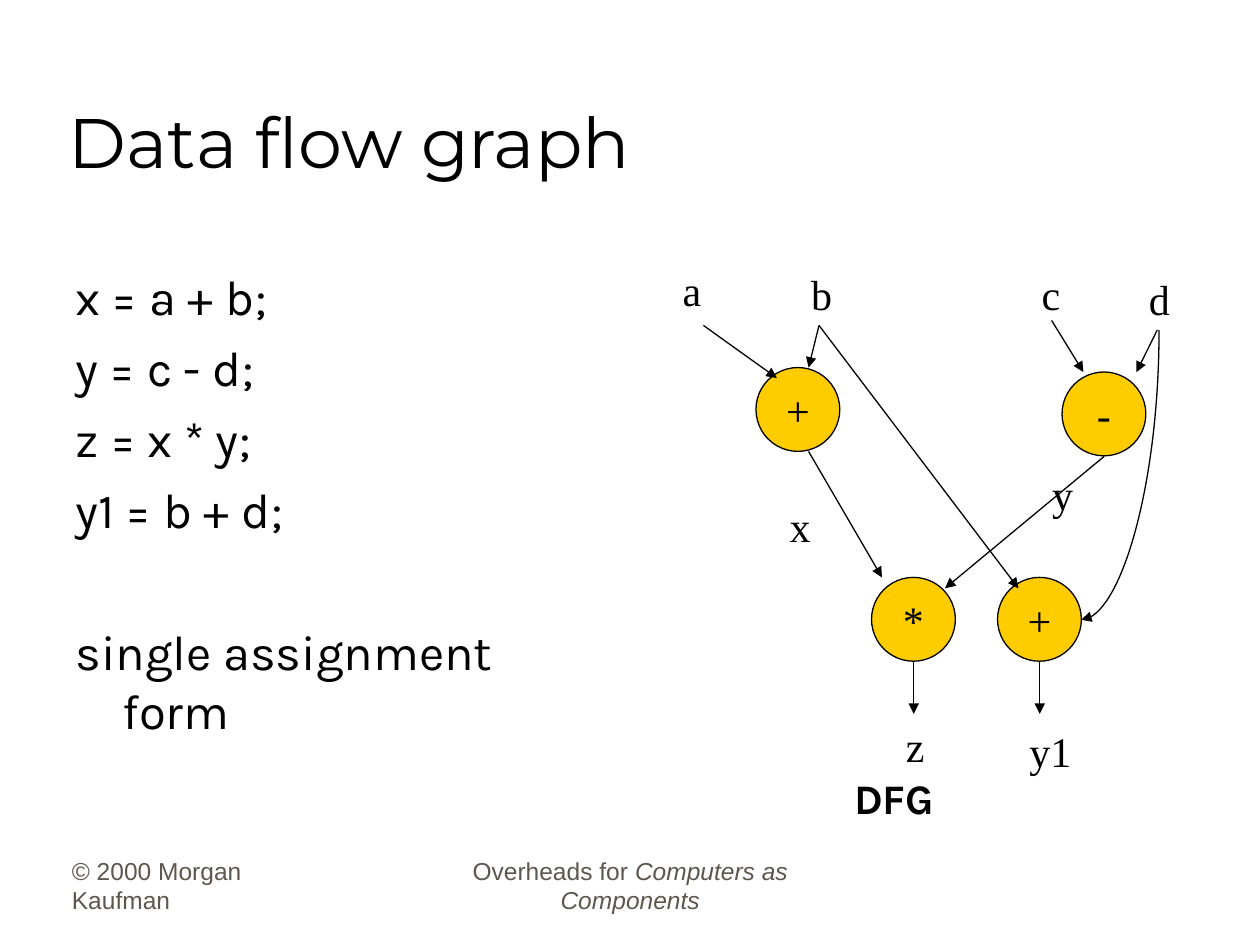
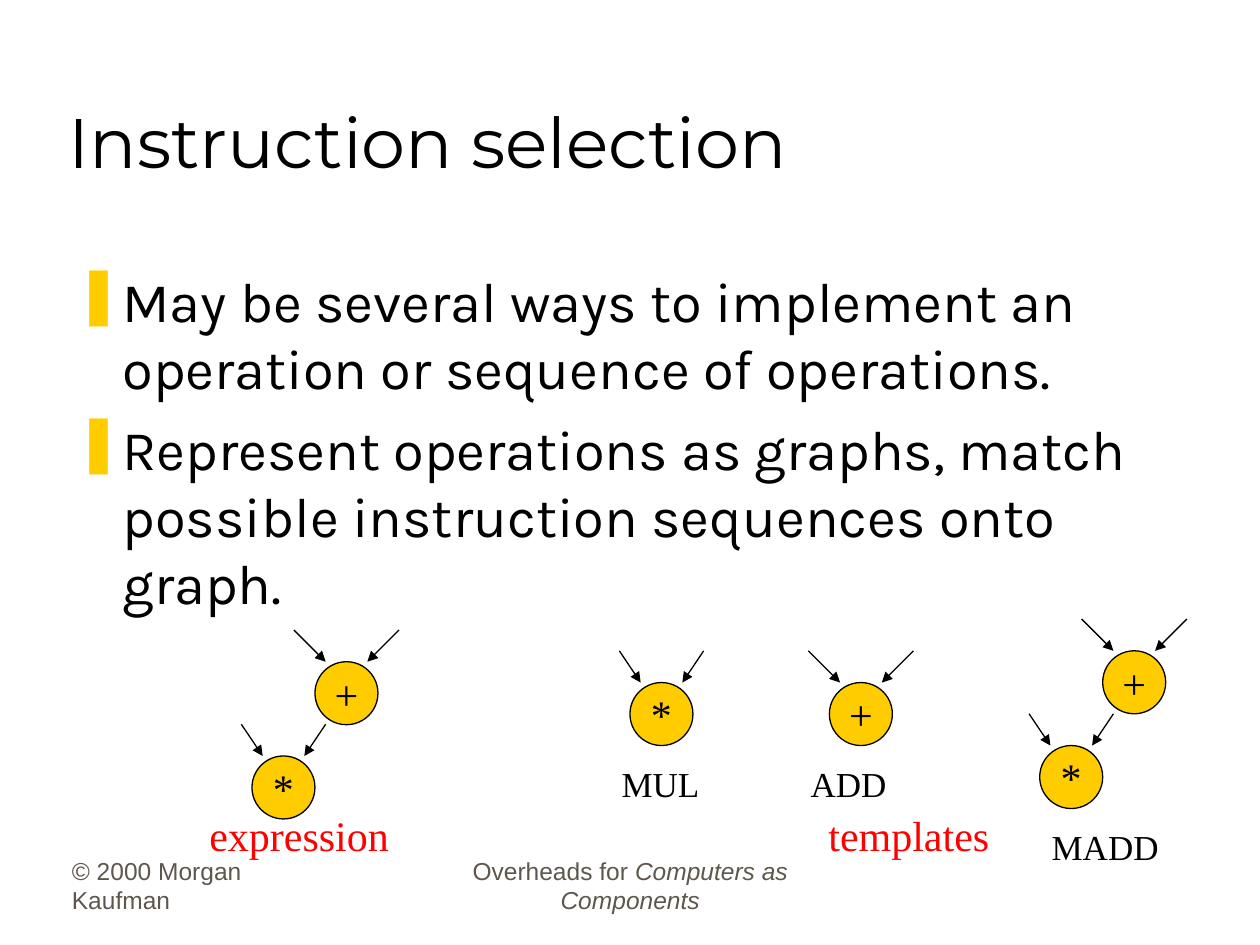
import lxml.etree
import pptx
import pptx.dml.color
import pptx.enum.shapes
import pptx.enum.text
import pptx.oxml.ns
import pptx.util

Cm = pptx.util.Cm
Pt = pptx.util.Pt
qn = pptx.oxml.ns.qn
rgb = pptx.dml.color.RGBColor.from_string
ALIGN = pptx.enum.text.PP_ALIGN
ANCHOR = pptx.enum.text.MSO_ANCHOR
CONNECTOR = pptx.enum.shapes.MSO_CONNECTOR

BLACK, YELLOW, RED, GREY = "000000", "FFCC00", "FF0000", "5E574E"
TITLE_FONT, BODY_FONT = "Montserrat", "Karla"
GRAPH_FONT, FOOTER_FONT = "Times New Roman", "Arial"


def add_box(page, left, top, width, height, anchor=ANCHOR.TOP, wrap=True):
    """Add an empty text box, sized in cm, and return its text frame."""
    frame = page.shapes.add_textbox(Cm(left), Cm(top), Cm(width), Cm(height)).text_frame
    frame.word_wrap = wrap
    frame.vertical_anchor = anchor
    frame.auto_size = (pptx.enum.text.MSO_AUTO_SIZE.NONE if wrap
                       else pptx.enum.text.MSO_AUTO_SIZE.SHAPE_TO_FIT_TEXT)
    return frame


def add_span(para, text, font, size, colour=BLACK, bold=False, italic=False):
    span = para.add_run()
    span.text = text
    span.font.name = font
    span.font.size = Pt(size)
    span.font.color.rgb = rgb(colour)
    span.font.bold = bold
    span.font.italic = italic


# Data flow graph: operators as (symbol, left, top), arrows as (from x, y, to x, y)
flow_nodes = [("+", 15.24, 7.41), ("-", 21.41, 7.5), ("+", 20.11, 11.64), ("*", 17.57, 11.64)]
flow_arrows = [
    (14.18, 6.56, 15.66, 7.62),   # a to +
    (16.51, 6.56, 16.3, 7.41),    # b to +
    (16.51, 6.56, 20.53, 11.86),  # b to lower +
    (21.2, 6.46, 21.84, 7.5),     # c to -
    (23.33, 6.65, 22.91, 7.5),    # d to -
    (16.3, 9.1, 17.78, 11.64),    # x
    (22.26, 9.2, 19.05, 11.86),   # y
    (18.42, 13.34, 18.42, 14.39),  # z
    (20.96, 13.34, 20.96, 14.39),  # y1
]
# Labels as (text, left, top, width, size, colour)
flow_labels = [
    ("a", 13.51, 5.2, 0.9, 24, BLACK),
    ("b", 16.1, 5.28, 0.9, 24, BLACK),
    ("c", 20.75, 5.28, 0.9, 24, BLACK),
    ("d", 22.91, 5.38, 0.9, 24, BLACK),
    ("x", 15.67, 9.96, 0.9, 24, BLACK),
    ("y", 20.96, 9.33, 0.9, 24, BLACK),
    ("z", 18.01, 14.39, 0.9, 24, BLACK),
    ("y1", 20.5, 14.5, 1.35, 24, BLACK),
]

# Instruction graphs: every operator has two slanted inputs
SELECT_SIZE = 1.27
select_nodes = [("*", 5.08, 15.24), ("+", 6.35, 13.34),    # expression
                ("*", 12.7, 13.76), ("+", 16.72, 13.76),   # MUL, ADD
                ("*", 20.96, 15.03), ("+", 22.23, 13.12)]  # MADD
select_arrows = []
for symbol, left, top in select_nodes:
    centre = left + SELECT_SIZE / 2
    spread = 1.06 if symbol == "+" else 0.85
    for side in (-1, 1):
        select_arrows.append((centre + side * spread, top - 0.64, centre + side * 0.42, top))
select_labels = [
    ("expression", 3.97, 16.2, 4.3, 24, RED),
    ("templates", 16.45, 16.2, 3.9, 24, RED),
    ("MUL", 12.28, 15.24, 2.2, 20, BLACK),
    ("ADD", 16.09, 15.24, 2.2, 20, BLACK),
    ("MADD", 20.95, 16.51, 2.8, 20, BLACK),
]

deck = pptx.Presentation()
deck.slide_width = Cm(25.4)
deck.slide_height = Cm(19.05)

# What both slides share: title, footers, graph
pages = []
for title, node_size, nodes, arrows, labels in (
        ("Data flow graph", 1.69, flow_nodes, flow_arrows, flow_labels),
        ("Instruction selection", SELECT_SIZE, select_nodes, select_arrows, select_labels)):
    page = deck.slides.add_slide(deck.slide_layouts[6])
    pages.append(page)

    frame = add_box(page, 1.14, 0.62, 21.59, 3.18, ANCHOR.BOTTOM)
    add_span(frame.paragraphs[0], title, TITLE_FONT, 40)

    frame = add_box(page, 1.2, 17.29, 5.28, 1.27, ANCHOR.BOTTOM)
    add_span(frame.paragraphs[0], "© 2000 Morgan Kaufman", FOOTER_FONT, 14, GREY)

    frame = add_box(page, 8.68, 17.29, 8.05, 1.27, ANCHOR.BOTTOM)
    para = frame.paragraphs[0]
    para.alignment = ALIGN.CENTER
    add_span(para, "Overheads for ", FOOTER_FONT, 14, GREY)
    add_span(para, "Computers as Components", FOOTER_FONT, 14, GREY, italic=True)

    for symbol, left, top in nodes:
        node = page.shapes.add_shape(pptx.enum.shapes.MSO_SHAPE.OVAL,
                                     Cm(left), Cm(top), Cm(node_size), Cm(node_size))
        node.shadow.inherit = False
        node.fill.solid()
        node.fill.fore_color.rgb = rgb(YELLOW)
        node.line.color.rgb = rgb(BLACK)
        node.line.width = Pt(0.75)
        node.text_frame.word_wrap = False
        node.text_frame.vertical_anchor = ANCHOR.MIDDLE
        para = node.text_frame.paragraphs[0]
        para.alignment = ALIGN.CENTER
        add_span(para, symbol, GRAPH_FONT, 24)

    for arrow in arrows:
        page.shapes.add_connector(CONNECTOR.STRAIGHT, *map(Cm, arrow))

    for text, left, top, width, size, colour in labels:
        frame = add_box(page, left, top, width, 1.27 if size == 24 else 1.12, wrap=False)
        add_span(frame.paragraphs[0], text, GRAPH_FONT, size, colour)

flow_page, select_page = pages

# Data flow graph: the quarter curve from d to the lower +
curve = flow_page.shapes.add_connector(CONNECTOR.CURVE, Cm(19.66), Cm(8.79), Cm(25.5), Cm(10.36))
geometry = curve._element.spPr
geometry.find(qn("a:prstGeom")).set("prst", "curvedConnector2")
geometry.find(qn("a:xfrm")).set("rot", "5400000")

frame = add_box(flow_page, 16.97, 15.44, 2.21, 1.27, wrap=False)
add_span(frame.paragraphs[0], "DFG", BODY_FONT, 24, bold=True)

for page in pages:
    for shape in page.shapes:
        if shape.shape_type == pptx.enum.shapes.MSO_SHAPE_TYPE.LINE:
            shape.line.color.rgb = rgb(BLACK)
            shape.line.width = Pt(0.75)
            lxml.etree.SubElement(shape.line._get_or_add_ln(), qn("a:tailEnd"), type="triangle")
            lxml.etree.SubElement(shape._element.spPr, qn("a:effectLst"))

# Body text: hanging indent on both slides, bullets on the second
code = ["x = a + b;", "y = c - d;", "z = x * y;", "y1 = b + d;", "single assignment form"]
points = ["May be several ways to implement an operation or sequence of operations.",
          "Represent operations as graphs, match possible instruction sequences onto graph."]
for page, lines, width, height, size, gap, bullet in (
        (flow_page, code, 11.15, 11.58, 28, 7, None),
        (select_page, points, 22.71, 7.47, 32, 8, "❚")):
    frame = add_box(page, 1.27, 5.24, width, height)
    for index, line in enumerate(lines):
        para = frame.paragraphs[0] if index == 0 else frame.add_paragraph()
        properties = para._p.get_or_add_pPr()
        properties.set("marL", str(Cm(0.95)))
        properties.set("indent", str(Cm(-0.95)))
        if bullet:
            bullet_colour = lxml.etree.SubElement(properties, qn("a:buClr"))
            lxml.etree.SubElement(bullet_colour, qn("a:srgbClr"), val=YELLOW)
            lxml.etree.SubElement(properties, qn("a:buChar"), char=bullet)
        if index:
            para.space_before = Pt(47.5 if line == code[-1] else gap)
        add_span(para, line, BODY_FONT, size)

deck.save("out.pptx")
